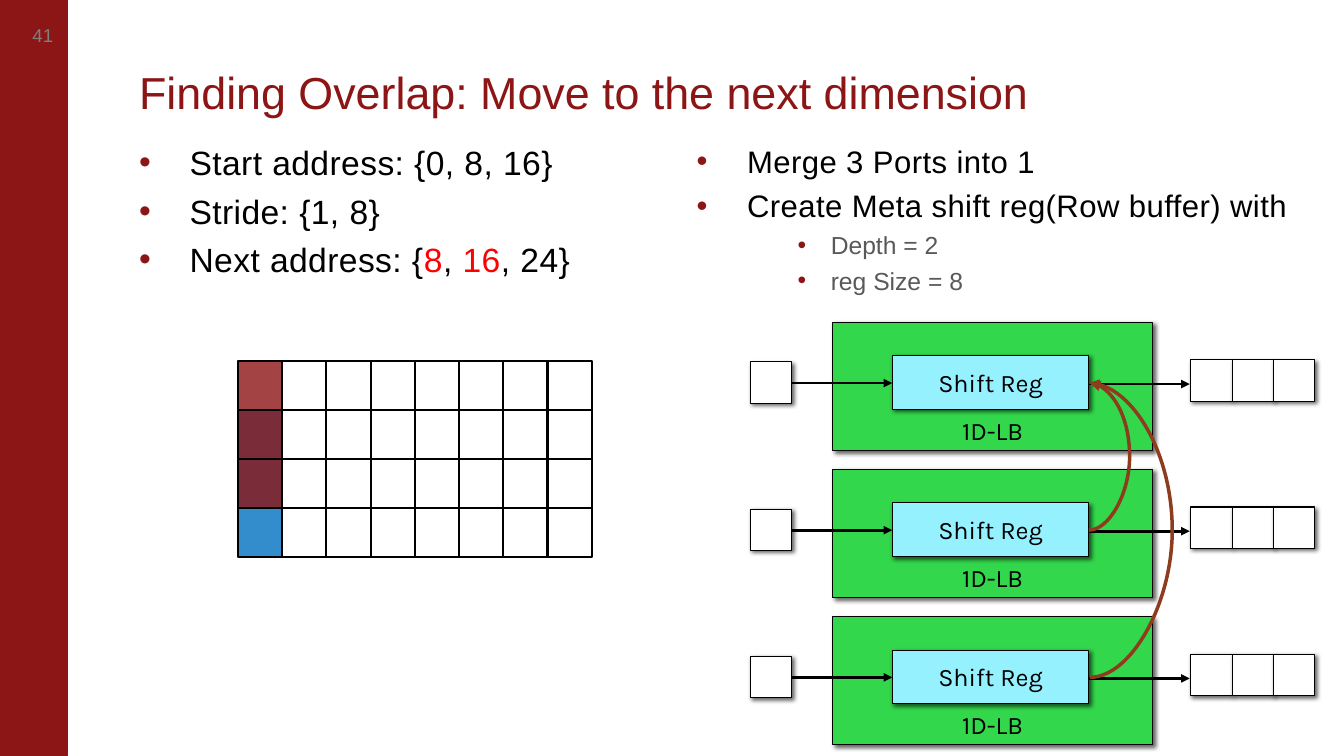
from dataclasses import dataclass

from lxml import etree
from pptx import Presentation
from pptx.dml.color import RGBColor
from pptx.enum.dml import MSO_FILL
from pptx.enum.shapes import MSO_CONNECTOR, MSO_SHAPE
from pptx.enum.text import MSO_ANCHOR, MSO_AUTO_SIZE, PP_ALIGN
from pptx.oxml import parse_xml
from pptx.oxml.ns import nsdecls, qn
from pptx.util import Inches, Pt

RECTANGLE = MSO_SHAPE.RECTANGLE
STRAIGHT, CURVE = MSO_CONNECTOR.STRAIGHT, MSO_CONNECTOR.CURVE
LEFT, CENTER = PP_ALIGN.LEFT, PP_ALIGN.CENTER
TOP, MIDDLE, BOTTOM = MSO_ANCHOR.TOP, MSO_ANCHOR.MIDDLE, MSO_ANCHOR.BOTTOM
SOLID = MSO_FILL.SOLID


@dataclass(frozen=True)
class Theme:
    cardinal: str = "8C1515"
    blue: str = "0070C0"
    green: str = "32D74B"
    cyan: str = "96F1FF"
    brown: str = "8D3C1E"
    red: str = "FF0000"
    black: str = "000000"
    white: str = "FFFFFF"
    dark_gray: str = "595959"
    gray: str = "7F7F7F"
    body_font: str = "Arial"
    diagram_font: str = "Karla"
    title_size: float = 32
    left_size: float = 24
    right_size: float = 22.2
    detail_size: float = 17.6
    label_size: float = 18
    number_size: float = 13.3


THEME = Theme()
ROW_PITCH = 1.46
FIRST_ROW_TOP = 3.2


def set_values(target, values):
    for name, value in values.items():
        setattr(target, name, value)


def set_frame(shape, anchor, insets, wrap=True):
    """Insets are left, top, right, bottom in inches."""
    sides = ("margin_left", "margin_top", "margin_right", "margin_bottom")
    values = {side: Inches(inset) for side, inset in zip(sides, insets)}
    values.update(word_wrap=wrap, auto_size=MSO_AUTO_SIZE.NONE, vertical_anchor=anchor)
    set_values(shape.text_frame, values)


def add_run(paragraph, text, size, color, font=THEME.body_font):
    run = paragraph.add_run()
    run.text = text
    set_values(run.font, {"name": font, "size": Pt(size)})
    run.font.color.rgb = RGBColor.from_string(color)
    return run


def add_box(slide, left, top, width, height, fill=None, line=None, weight=0.75, opacity=100):
    box = slide.shapes.add_shape(
        RECTANGLE, Inches(left), Inches(top), Inches(width), Inches(height))
    box.shadow.inherit = False
    if fill:
        box.fill.solid()
        box.fill.fore_color.rgb = RGBColor.from_string(fill)
    else:
        box.fill.background()
    if line:
        box.line.color.rgb = RGBColor.from_string(line)
        box.line.width = Pt(weight)
    else:
        box.line.fill.background()
    if opacity < 100 and box.fill.type == SOLID:
        color = box._element.spPr.find(qn("a:solidFill"))[0]
        etree.SubElement(color, qn("a:alpha"), val=str(opacity * 1000))
    return box


def add_shadowed_box(slide, left, top, width, height, fill):
    box = add_box(slide, left, top, width, height, fill, THEME.black)
    effects = box._element.spPr.find(qn("a:effectLst"))
    effects.append(parse_xml(
        f'<a:outerShdw {nsdecls("a")} blurRad="{Pt(3)}" dist="{Pt(2)}" dir="2700000" '
        f'algn="tl" rotWithShape="0"><a:srgbClr val="{THEME.black}">'
        '<a:alpha val="60000"/></a:srgbClr></a:outerShdw>'))
    return box


def add_label(box, text, anchor):
    set_frame(box, anchor, (0.1, 0.05, 0.1, 0.05))
    paragraph = box.text_frame.paragraphs[0]
    paragraph.alignment = CENTER
    return add_run(paragraph, text, THEME.label_size, THEME.black, THEME.diagram_font)


def add_arrow(slide, start, end, color, weight, kind=STRAIGHT):
    arrow = slide.shapes.add_connector(kind, *map(Inches, start + end))
    arrow.line.color.rgb = RGBColor.from_string(color)
    arrow.line.width = Pt(weight)
    etree.SubElement(arrow.line._get_or_add_ln(), qn("a:tailEnd"), type="triangle")
    etree.SubElement(arrow._element.spPr, qn("a:effectLst"))
    return arrow


def add_feedback_curve(slide, start, end, bulge_x):
    """Curve that swings right as far as bulge_x."""
    arrow = add_arrow(slide, start, end, THEME.brown, 2.5, CURVE)
    ratio = (bulge_x - start[0]) / (end[0] - start[0])
    guides = arrow._element.spPr.find(qn("a:prstGeom")).get_or_add_avLst()
    etree.SubElement(guides, qn("a:gd"), name="adj1", fmla=f"val {round(ratio * 100000)}")


def add_bullet(paragraph, margin, hanging):
    properties = paragraph._p.get_or_add_pPr()
    properties.set("marL", str(Inches(margin)))
    properties.set("indent", str(-Inches(hanging)))
    color = etree.SubElement(properties, qn("a:buClr"))
    etree.SubElement(color, qn("a:srgbClr"), val=THEME.cardinal)
    etree.SubElement(properties, qn("a:buFont"), typeface=THEME.body_font)
    etree.SubElement(properties, qn("a:buChar"), char="•")


def add_bullet_list(slide, left, top, width, height, items):
    """Items are (is_detail, size, [(text, color), ...])."""
    box = slide.shapes.add_textbox(Inches(left), Inches(top), Inches(width), Inches(height))
    set_frame(box, TOP, (0, 0.05, 0, 0.05))
    for index, (is_detail, size, pieces) in enumerate(items):
        paragraph = box.text_frame.add_paragraph() if index else box.text_frame.paragraphs[0]
        add_bullet(paragraph, *((1.33, 0.33) if is_detail else (0.5, 0.5)))
        paragraph.space_before = Pt(round(0.24 * size, 1)) if index else Pt(0)
        for text, color in pieces:
            run = add_run(paragraph, text, size, color)
            if not is_detail:
                run.font._element.set("spc", "30")


def add_title(slide, text):
    title = slide.shapes.title
    set_values(title, {"left": Inches(1.38), "top": Inches(0.52),
                       "width": Inches(11.24), "height": Inches(0.71)})
    set_frame(title, BOTTOM, (0, 0.05, 0.1, 0.05))
    paragraph = title.text_frame.paragraphs[0]
    set_values(paragraph, {"alignment": LEFT, "line_spacing": 0.85})
    add_run(paragraph, text, THEME.title_size, THEME.cardinal)


def add_side_band(slide, number):
    add_box(slide, 0, 0, 0.67, 7.5, THEME.cardinal, THEME.cardinal)
    box = slide.shapes.add_textbox(Inches(0.09), Inches(0.01), Inches(0.67), Inches(0.67))
    set_frame(box, MIDDLE, (0.07, 0, 0.07, 0), wrap=False)
    paragraph = box.text_frame.paragraphs[0]
    paragraph.alignment = CENTER
    add_run(paragraph, number, THEME.number_size, THEME.gray)


def add_address_grid(slide, left, top, width, height, columns=8, rows=4):
    cell_width, cell_height = width / columns, height / rows
    for first_row, color in ((1, THEME.blue), (0, THEME.cardinal)):
        add_box(slide, left, top + first_row * cell_height, cell_width, 3 * cell_height,
                color, opacity=80)
    for row in range(rows):
        for column in range(columns):
            add_box(slide, left + column * cell_width, top + row * cell_height,
                    cell_width, cell_height, line=THEME.black, weight=1.5)


def add_line_buffer(slide, top):
    buffer = add_shadowed_box(slide, 8.26, top, 3.17, 1.27, THEME.green)
    run = add_label(buffer, "1D-LB", BOTTOM)
    run.font._element.insert(0, parse_xml(
        f'<a:ln {nsdecls("a")} w="{Pt(0.75)}"><a:solidFill>'
        f'<a:srgbClr val="{THEME.black}"/></a:solidFill></a:ln>'))
    add_shadowed_box(slide, 7.44, top + 0.39, 0.41, 0.41, THEME.white)
    add_arrow(slide, (7.85, top + 0.6), (8.85, top + 0.6), THEME.black, 2.08)
    register = add_shadowed_box(slide, 8.85, top + 0.33, 1.95, 0.53, THEME.cyan)
    add_label(register, "Shift Reg", MIDDLE)
    add_arrow(slide, (10.8, top + 0.61), (11.8, top + 0.61), THEME.black, 2.08)
    for column in range(3):
        add_shadowed_box(slide, 11.81 + 0.41 * column, top + 0.37, 0.41, 0.41, THEME.white)


def main():
    presentation = Presentation()
    set_values(presentation, {"slide_width": Inches(13.33), "slide_height": Inches(7.5)})
    slide = presentation.slides.add_slide(presentation.slide_layouts[5])
    black, red, gray = THEME.black, THEME.red, THEME.dark_gray

    add_side_band(slide, "41")
    add_title(slide, "Finding Overlap: Move to the next dimension")
    add_bullet_list(slide, 1.38, 1.36, 5.52, 1.75, [
        (False, THEME.left_size, [("Start address: {0, 8, 16}", black)]),
        (False, THEME.left_size, [("Stride: {1, 8}", black)]),
        (False, THEME.left_size, [("Next address: {", black), ("8", red), (", ", black),
                                  ("16", red), (", 24}", black)]),
    ])
    add_bullet_list(slide, 6.91, 1.36, 6.22, 1.75, [
        (False, THEME.right_size, [("Merge 3 Ports into 1", black)]),
        (False, THEME.right_size, [("Create Meta shift reg(Row buffer) with", black)]),
        (True, THEME.detail_size, [("Depth = 2", gray)]),
        (True, THEME.detail_size, [("reg Size = 8", gray)]),
    ])
    for row in range(3):
        add_line_buffer(slide, FIRST_ROW_TOP + row * ROW_PITCH)
    port_y = FIRST_ROW_TOP + 0.6
    add_feedback_curve(slide, (10.8, port_y + ROW_PITCH), (10.81, port_y), 11.21)
    add_feedback_curve(slide, (10.81, port_y + 2 * ROW_PITCH), (10.8, port_y), 11.64)
    add_address_grid(slide, 2.36, 3.58, 3.51, 1.95)
    presentation.save("out.pptx")


if __name__ == "__main__":
    main()
